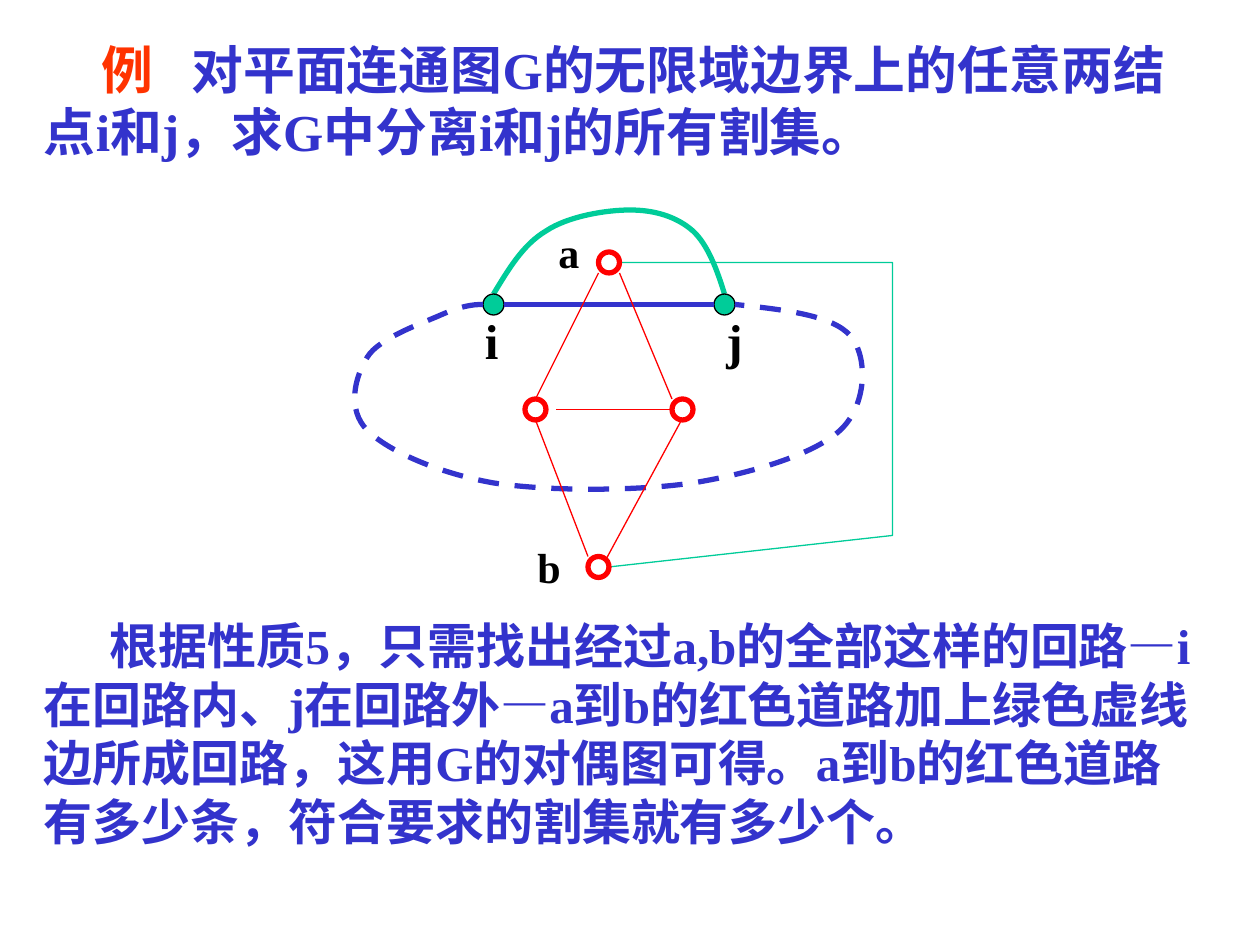
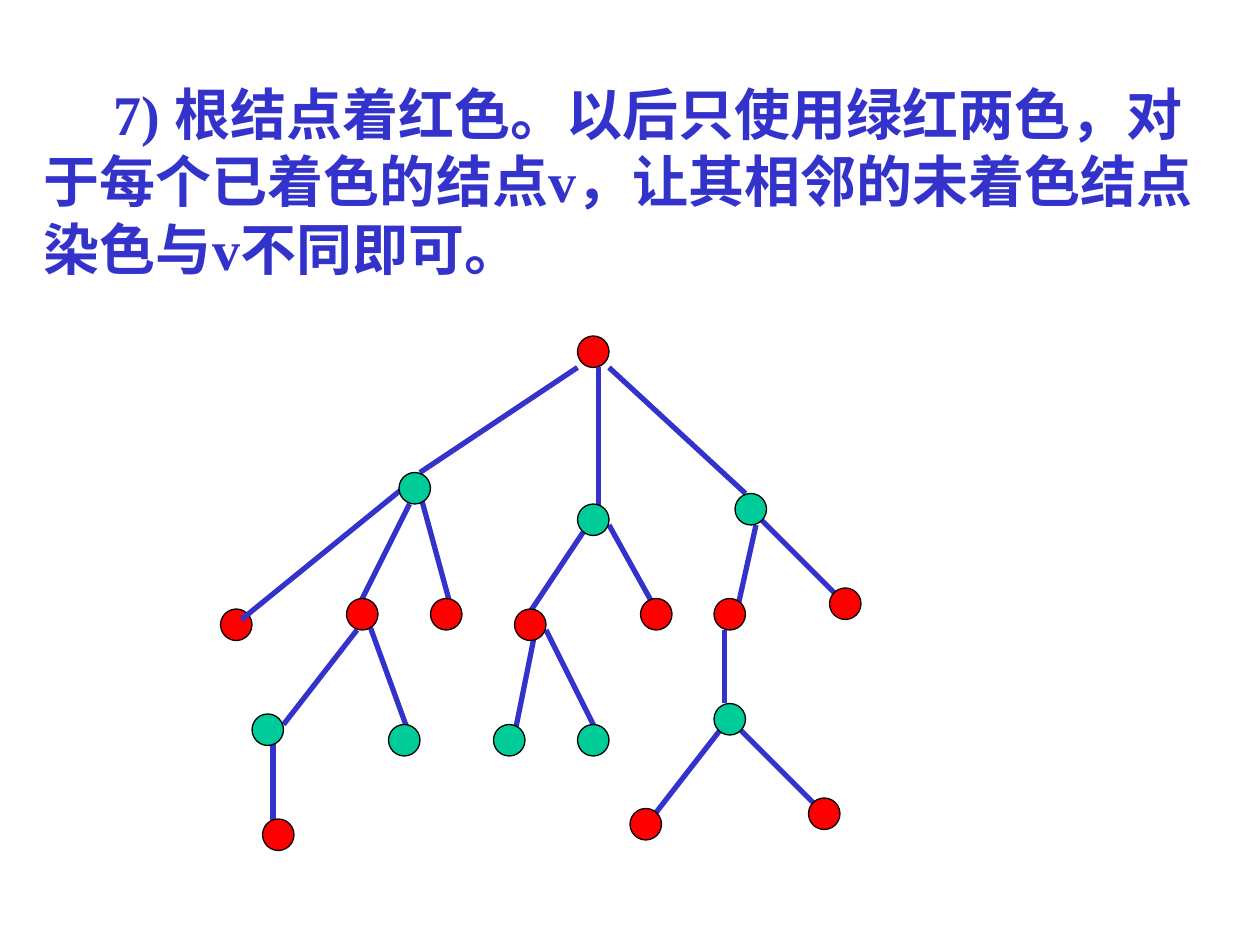
from lxml import etree
from pptx import Presentation
from pptx import util as u
from pptx.dml import color
from pptx.enum import dml, lang, shapes, text
from pptx.oxml import ns

BLUE = color.RGBColor(0x33, 0x33, 0xCC)
GREEN = color.RGBColor(0x00, 0xCC, 0x99)
RED = color.RGBColor(0xFF, 0x00, 0x00)
ORANGE = color.RGBColor(0xFF, 0x33, 0x00)
BLACK = color.RGBColor(0x00, 0x00, 0x00)

FONT = "Times New Roman"
GRID = u.Cm(2.54) // 12
THICK, THIN = 3, 0.75

ARCH = [
    (14, 8), (15.4, 5.7), (16.8, 3.3), (19, 2),
    (21.1, 0.6), (24.7, 0), (27, 0),
    (29.3, 0), (31.4, 0.6), (33, 2),
    (34.4, 3.3), (35.3, 5.7), (36, 8),
]
OUTER_LOOP = [
    (13, 9), (11.9, 9), (10.8, 9.2), (9, 10),
    (7.2, 10.8), (3.1, 12.2), (2, 14),
    (0.8, 15.9), (0, 19), (2, 21),
    (4, 23), (8.9, 25.1), (14, 26),
    (19.2, 26.8), (27.5, 26.8), (33, 26),
    (38.5, 25.1), (44.5, 23.3), (47, 21),
    (49.6, 18.6), (49.7, 14), (48, 12),
    (46.3, 10), (41.6, 9.5), (37, 9),
]
DUAL_RETURN = [(26, 5), (52, 5), (52, 31), (25, 34)]
DUAL_NODES = [(23, 33), (24, 4), (17, 18), (31, 18)]
DUAL_EDGES = [
    ((18, 20), (23, 33)), ((31.8, 20.2), (24.7, 33.3)),
    ((24, 6), (18, 18)), ((26, 6), (31, 18)), ((20, 19), (31, 19)),
]
GRAPH_LABELS = [
    ("i", (12, 9), (4, 6.8), 28), ("j", (35, 9), (4, 6.8), 28),
    ("a", (19, 1), (5, 6), 24), ("b", (17, 31), (5, 6), 24),
]

ROOT, FIRST_LEAF = (34, 0), (0, 26)
RED_NODES = [
    (47, 25), (40, 25), (58, 24), (56, 44), (39, 45),
    (4, 46), (28, 26), (20, 25), (12, 25),
]
GREEN_NODES = [
    (47, 35), (34, 37), (26, 37), (16, 37), (3, 36),
    (17, 13), (34, 16), (49, 15),
]
TREE_EDGES = [
    ((37, 3), (50, 15)), ((34, 3), (19, 13)), ((36, 3), (36, 17)),
    ((18, 14), (2, 27)), ((18, 16), (13, 26)), ((19, 15), (22, 26)),
    ((35, 18), (29, 27)), ((37, 18), (42, 27)),
    ((51, 18), (49, 27)), ((51, 17), (59, 25)),
    ((13, 28), (6, 37)), ((14, 27), (18, 38)),
    ((30, 28), (28, 38)), ((31, 28), (36, 38)), ((48, 28), (48, 35)),
    ((5, 38), (5, 47)), ((48, 37), (41, 46)), ((49, 37), (57, 45)),
]


def place(origin, point):
    """Turn a grid point of a figure into slide lengths."""
    return [start + round(step * GRID) for start, step in zip(origin, point)]


def set_line(shape, line_color, width):
    """Colour and weigh the line of a shape."""
    shape.line.color.rgb = line_color
    shape.line.width = u.Pt(width)


def add_node(slide, origin, corner, size, fill, line_color=BLACK, width=THIN):
    """Add a round node, hollow when it has no fill."""
    node = slide.shapes.add_shape(
        shapes.MSO_SHAPE.OVAL, *place(origin, corner), size * GRID, size * GRID
    )
    node.shadow.inherit = False
    if fill is None:
        node.fill.background()
    else:
        node.fill.solid()
        node.fill.fore_color.rgb = fill
    set_line(node, line_color, width)


def add_edge(slide, origin, start, end, line_color, width):
    """Add a straight edge between two grid points."""
    edge = slide.shapes.add_connector(
        shapes.MSO_CONNECTOR.STRAIGHT, *place(origin, start), *place(origin, end)
    )
    set_line(edge, line_color, width)
    etree.SubElement(edge._element.spPr, ns.qn("a:effectLst"))


def add_outline(slide, origin, points, line_color, width):
    """Add an open outline through grid points."""
    first, *rest = [place(origin, point) for point in points]
    builder = slide.shapes.build_freeform(*first)
    builder.add_line_segments(rest, close=False)
    outline = builder.convert_to_shape()
    outline.shadow.inherit = False
    outline.fill.background()
    set_line(outline, line_color, width)
    return outline


def add_curve(slide, origin, knots, line_color, width):
    """Add an outline whose points are knots of cubic curves."""
    curve = add_outline(slide, origin, knots, line_color, width)
    segments = list(curve._element.iter(ns.qn("a:lnTo")))
    for first in range(0, len(segments), 3):
        bend, *others = segments[first:first + 3]
        cubic = etree.Element(ns.qn("a:cubicBezTo"))
        bend.addprevious(cubic)
        for segment in (bend, *others):
            cubic.append(segment[0])
            segment.getparent().remove(segment)
    return curve


def add_text(slide, box, runs, size, indent=0):
    """Add a bold paragraph from (wording, colour, letter spacing) runs."""
    frame = slide.shapes.add_textbox(*box).text_frame
    frame.word_wrap = True
    frame.vertical_anchor = text.MSO_ANCHOR.TOP
    paragraph = frame.paragraphs[0]
    paragraph._p.get_or_add_pPr().set("indent", str(u.Cm(indent)))
    for wording, font_color, spacing in runs:
        run = paragraph.add_run()
        run.text = wording
        run.font.name = FONT
        run.font.size = u.Pt(size)
        run.font.bold = True
        run.font.color.rgb = font_color
        run.font.language_id = lang.MSO_LANGUAGE_ID.SIMPLIFIED_CHINESE
        if spacing:
            run._r.get_or_add_rPr().set("spc", str(round(spacing * 100)))


def draw_cut_graph(slide, origin):
    """Draw the plane graph with its dual."""
    add_curve(slide, origin, ARCH, GREEN, THICK)
    for corner in ((35, 8), (13, 8)):
        add_node(slide, origin, corner, 2, GREEN)
    add_edge(slide, origin, (15, 9), (35, 9), BLUE, THICK)
    loop = add_curve(slide, origin, OUTER_LOOP, BLUE, THICK)
    loop.line.dash_style = dml.MSO_LINE.DASH
    add_outline(slide, origin, DUAL_RETURN, GREEN, THIN)
    for corner in DUAL_NODES:
        add_node(slide, origin, corner, 2, None, RED, THICK)
    for start, end in DUAL_EDGES:
        add_edge(slide, origin, start, end, RED, THIN)
    for letter, corner, extent, size in GRAPH_LABELS:
        box = place(origin, corner) + place((0, 0), extent)
        add_text(slide, box, [(letter, BLACK, 0)], size)


def draw_coloured_tree(slide, origin):
    """Draw the tree coloured in red and green."""
    for corner in (FIRST_LEAF, ROOT):
        add_node(slide, origin, corner, 3, RED)
    for start, end in TREE_EDGES:
        add_edge(slide, origin, start, end, BLUE, THICK)
    for corners, fill in ((RED_NODES, RED), (GREEN_NODES, GREEN)):
        for corner in corners:
            add_node(slide, origin, corner, 3, fill)


def build_cut_set_slide(slide):
    """Pose the cut set problem and explain its solution."""
    question = [
        ("例", ORANGE, 0),
        (" ", BLUE, 14.8),
        ("对平面连通图G的无限域边界上的任意两结点i和j，求G中分离i和j的所有割集。", BLUE, 0),
    ]
    add_text(slide, (3 * GRID, 3 * GRID, 112 * GRID, 15 * GRID),
             question, 29.6, indent=1.17)
    draw_cut_graph(slide, (33 * GRID, 20 * GRID))
    solution = (
        "根据性质5，只需找出经过a,b的全部这样的回路—i在回路内、j在回路外—"
        "a到b的红色道路加上绿色虚线边所成回路，这用G的对偶图可得。"
        "a到b的红色道路有多少条，符合要求的割集就有多少个。"
    )
    add_text(slide, (3 * GRID, 58 * GRID, 112 * GRID, 27 * GRID),
             [(solution, BLUE, 0)], 28, indent=1.33)


def build_tree_slide(slide):
    """State the two-colouring rule above its tree."""
    rule = (
        "7) 根结点着红色。以后只使用绿红两色，对于每个已着色的结点v，"
        "让其相邻的未着色结点染色与v不同即可。"
    )
    add_text(slide, (3 * GRID, 7 * GRID, 114 * GRID, u.Cm(4.32)),
             [(rule, BLUE, 0)], 32, indent=1.41)
    draw_coloured_tree(slide, (21 * GRID, 32 * GRID))


def main():
    """Build and save the presentation."""
    deck = Presentation()
    deck.slide_width, deck.slide_height = u.Cm(25.4), u.Cm(19.05)
    blank = deck.slide_layouts[6]
    for build in (build_cut_set_slide, build_tree_slide):
        build(deck.slides.add_slide(blank))
    deck.save("out.pptx")


if __name__ == "__main__":
    main()
